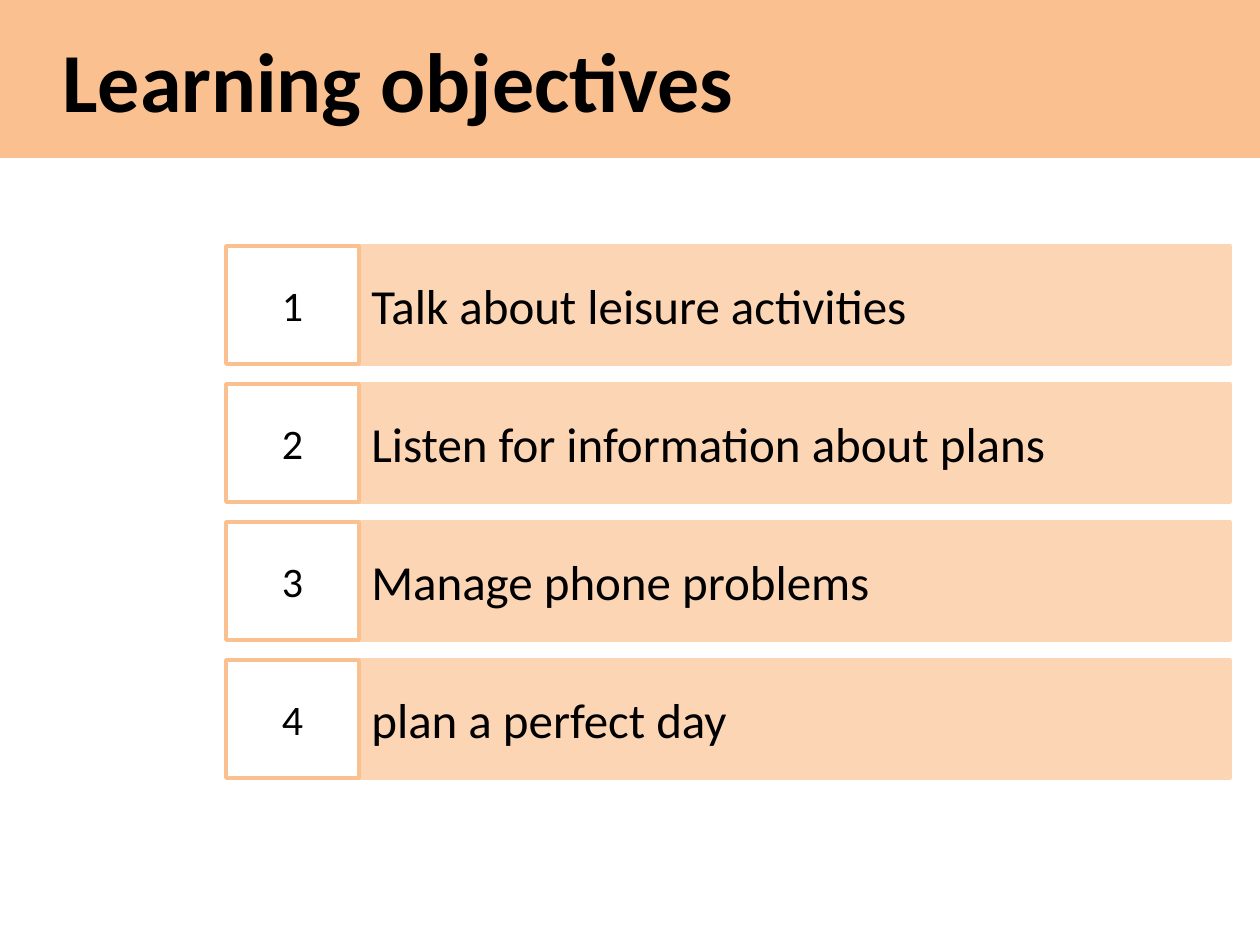
from pptx import Presentation
from pptx.dml.color import RGBColor
from pptx.enum.shapes import MSO_SHAPE as Shape
from pptx.enum.text import MSO_ANCHOR as Anchor, PP_ALIGN as Align
from pptx.util import Emu, Pt

# Content
TITLE = "Learning objectives"
OBJECTIVES = [
    "Talk about leisure activities",
    "Listen for information about plans",
    "Manage phone problems",
    "plan a perfect day",
]

# Layout in px, 126 to the inch
SLIDE_WIDTH, SLIDE_HEIGHT = 1260, 945
TITLE_HEIGHT, TITLE_INDENT = 158, 50
ROW_LEFT, ROW_TOP, ROW_HEIGHT, ROW_PITCH = 226, 246, 118, 138
NUMBER_WIDTH, BAR_WIDTH = 133, 871

COLORS = {"orange": "FAC090", "peach": "FCD5B5", "white": "FFFFFF", "black": "000000"}
FONT = "Calibri"


def px(value):
    return Emu(round(value * 914400 / 126))


def color(name):
    return RGBColor.from_string(COLORS[name])


def add_box(shapes, text, left, top, width, height, *, fill, size,
            line=None, bold=False, align=Align.LEFT, indent=0):
    shape = shapes.add_shape(Shape.RECTANGLE, px(left), px(top), px(width), px(height))
    shape.shadow.inherit = False
    shape.fill.solid()
    shape.fill.fore_color.rgb = color(fill)
    if line:
        shape.line.color.rgb = color(line)
        shape.line.width = Pt(2)
    else:
        shape.line.fill.background()

    frame = shape.text_frame
    frame.word_wrap = True
    frame.vertical_anchor = Anchor.MIDDLE
    paragraph = frame.paragraphs[0]
    paragraph.alignment = align
    if indent:
        paragraph._p.get_or_add_pPr().set("indent", str(px(indent)))
    run = paragraph.add_run()
    run.text = text
    run.font.name = FONT
    run.font.size = Pt(size)
    run.font.bold = bold
    run.font.color.rgb = color("black")


def main():
    presentation = Presentation()
    presentation.slide_width = px(SLIDE_WIDTH)
    presentation.slide_height = px(SLIDE_HEIGHT)
    slide = presentation.slides.add_slide(presentation.slide_layouts[6])

    # Title band
    add_box(slide.shapes, TITLE, 0, 0, SLIDE_WIDTH, TITLE_HEIGHT,
            fill="orange", size=48, bold=True, indent=TITLE_INDENT)

    # Numbered objectives, one group per row
    for index, objective in enumerate(OBJECTIVES):
        top = ROW_TOP + index * ROW_PITCH
        row = slide.shapes.add_group_shape()
        add_box(row.shapes, objective, ROW_LEFT + NUMBER_WIDTH, top, BAR_WIDTH, ROW_HEIGHT,
                fill="peach", line="peach", size=28)
        add_box(row.shapes, str(index + 1), ROW_LEFT, top, NUMBER_WIDTH, ROW_HEIGHT,
                fill="white", line="orange", size=24, align=Align.CENTER)

    presentation.save("out.pptx")


if __name__ == "__main__":
    main()
